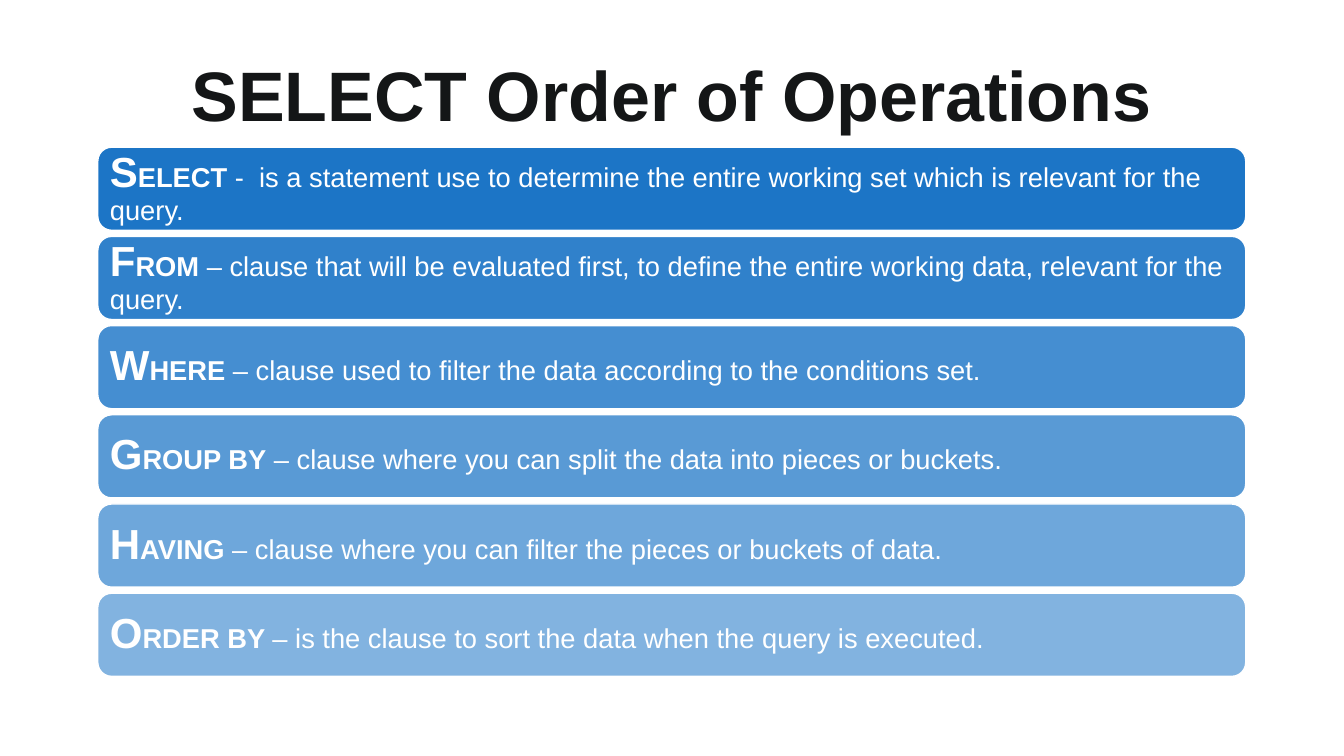
from lxml import etree
from pptx import Presentation
from pptx import util as u
from pptx.dml.color import RGBColor
from pptx.enum import shapes, text
from pptx.oxml.ns import qn


def paint(target, color):
    target.rgb = RGBColor.from_string(color)


def style(span, size, color, bold):
    span.font.name = "Arial"
    span.font.size = u.Pt(size)
    span.font.bold = bold
    paint(span.font.color, color)


clauses = [
    ("S", "ELECT", " -  is a statement use to determine the entire working set which is relevant for the query."),
    ("F", "ROM", " – clause that will be evaluated first, to define the entire working data, relevant for the query."),
    ("W", "HERE", " – clause used to filter the data according to the conditions set."),
    ("G", "ROUP BY", " – clause where you can split the data into pieces or buckets."),
    ("H", "AVING", " – clause where you can filter the pieces or buckets of data."),
    ("O", "RDER BY ", "– is the clause to sort the data when the query is executed."),
]

deck = Presentation()
deck.slide_width = u.Inches(26.67)
deck.slide_height = u.Inches(15)
page = deck.slides.add_slide(deck.slide_layouts[5])

left, width = u.Inches(1.94), u.Inches(22.78)
first_top, bar_height, row_pitch = 2.92, 1.65, 1.77

title = page.shapes.title
title.left, title.top = left, u.Inches(1.01)
title.width, title.height = width, u.Inches(1.7)
frame = title.text_frame
frame.text = "SELECT Order of Operations"
frame.auto_size = text.MSO_AUTO_SIZE.NONE
frame.vertical_anchor = text.MSO_ANCHOR.MIDDLE
frame.margin_left = frame.margin_right = frame.margin_top = frame.margin_bottom = u.Inches(0.1)
frame.paragraphs[0].alignment = text.PP_ALIGN.CENTER
style(frame.paragraphs[0].runs[0], 100, "141617", True)

for row, (initial, keyword, meaning) in enumerate(clauses):
    bar = page.shapes.add_shape(
        shapes.MSO_SHAPE.ROUNDED_RECTANGLE,
        left, u.Inches(first_top + row * row_pitch), width, u.Inches(bar_height))
    bar.adjustments[0] = 0.167
    bar.shadow.inherit = False
    bar.fill.solid()
    paint(bar.fill.fore_color, "0065C0")
    opacity = 89 - 8 * row
    fill_color = bar.fill._xPr.find(qn("a:solidFill"))[0]
    etree.SubElement(fill_color, qn("a:alpha"), val=str(opacity * 1000))
    paint(bar.line.color, "FFFFFF")
    bar.line.width = u.Pt(2)

    frame = bar.text_frame
    frame.word_wrap = True
    frame.vertical_anchor = text.MSO_ANCHOR.MIDDLE
    frame.margin_left = frame.margin_right = frame.margin_top = frame.margin_bottom = u.Inches(0.16)
    para = frame.paragraphs[0]
    para.alignment = text.PP_ALIGN.LEFT
    para.line_spacing = 0.9
    for words, size, bold in ((initial, 60, True), (keyword, 39, True), (meaning, 39, False)):
        span = para.add_run()
        span.text = words
        style(span, size, "FFFFFF", bold)

deck.save("out.pptx")
